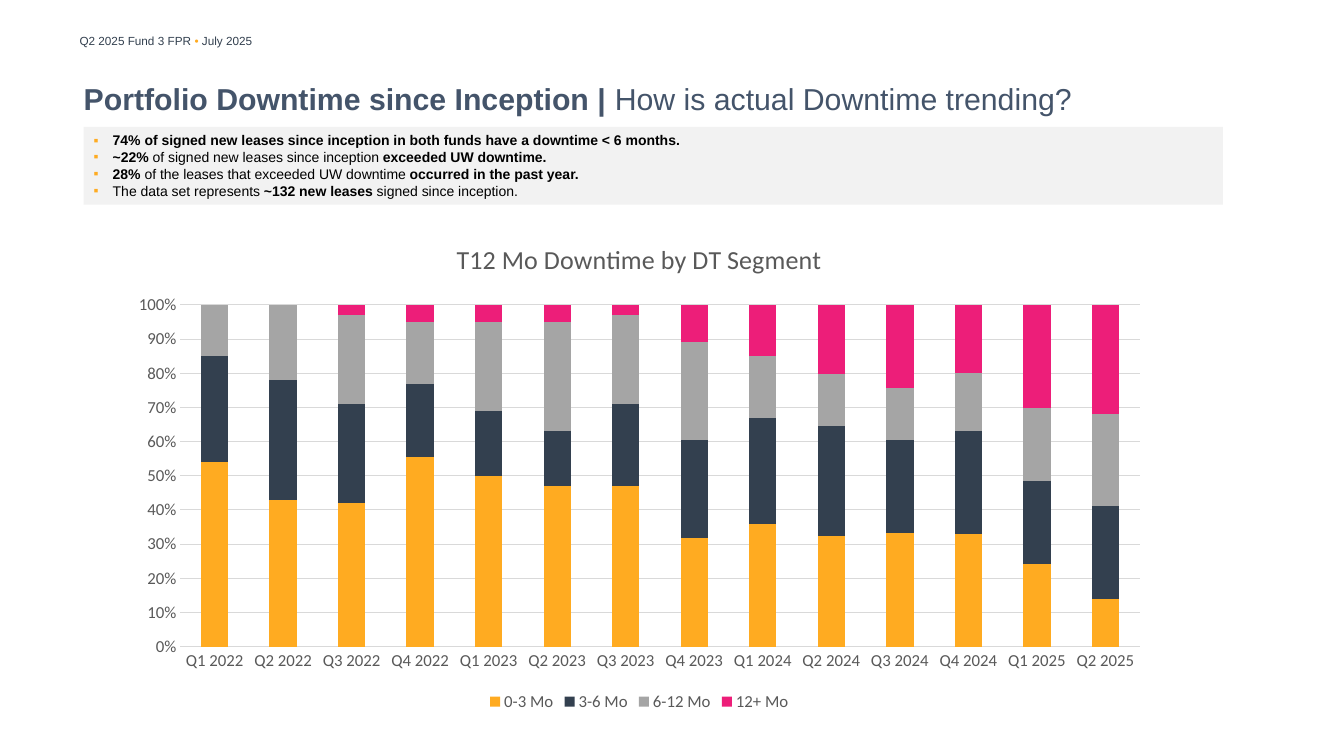
from lxml.etree import SubElement
from pptx import Presentation
from pptx.chart.data import CategoryChartData
from pptx.dml.color import RGBColor
from pptx.enum.chart import XL_CHART_TYPE, XL_LEGEND_POSITION, XL_TICK_MARK
from pptx.enum.shapes import MSO_SHAPE
from pptx.enum.text import MSO_ANCHOR, PP_ALIGN
from pptx.oxml.ns import qn
from pptx.util import Inches, Pt

NAVY, ORANGE, SLATE = "33404F", "FFAB21", "44546A"
GRID, LABEL = "D9D9D9", "595959"

# Regions as left, top, width, height in inches
HEADER_BOX = (0.69, 0.29, 4.51, 0.24)
TITLE_BOX = (0.83, 0.6, 11.02, 0.75)
FINDINGS_BOX = (0.83, 1.26, 11.3, 0.77)
CHART_BOX = (1.17, 2.2, 10.34, 4.9)

# Each finding is a list of (text, bold) runs
FINDINGS = [
    [("74% of signed new leases since inception in both funds have a downtime < 6 months.", True)],
    [("~22% ", True), ("of signed new leases since inception ", False),
     ("exceeded UW downtime.", True)],
    [("28% ", True), ("of the leases that exceeded UW downtime ", False),
     ("occurred in the past year.", True)],
    [("The data set represents ", False), ("~132 new leases ", True),
     ("signed since inception.", False)],
]

QUARTERS = [f"Q{index % 4 + 1} {2022 + index // 4}" for index in range(14)]
SEGMENTS = [
    ("0-3 Mo", ORANGE, (54, 43, 42, 55, 50, 47, 47, 32, 36, 32, 33, 33, 24, 14)),
    ("3-6 Mo", NAVY, (31, 35, 29, 21, 19, 16, 24, 29, 31, 32, 27, 30, 24, 27)),
    ("6-12 Mo", "A5A5A5", (15, 22, 26, 18, 26, 32, 26, 29, 18, 15, 15, 17, 21, 27)),
    ("12+ Mo", "ED1E79", (0, 0, 3, 5, 5, 5, 3, 11, 15, 20, 24, 20, 30, 32)),
]


def color(value):
    return RGBColor.from_string(value)


def place(box):
    return [Inches(length) for length in box]


def style_font(font, name, size, value, bold=False):
    font.name, font.size, font.bold = name, Pt(size), bold
    font.color.rgb = color(value)


def add_run(paragraph, text, size, value, bold=False):
    run = paragraph.add_run()
    run.text = text
    style_font(run.font, "Arial", size, value, bold)


def add_bullet(paragraph):
    properties = paragraph._p.get_or_add_pPr()
    properties.set("marL", str(Inches(0.19)))
    properties.set("indent", str(-Inches(0.19)))
    bullet_color = SubElement(properties, qn("a:buClr"))
    SubElement(bullet_color, qn("a:srgbClr")).set("val", "FEAB21")
    SubElement(properties, qn("a:buFont")).set("typeface", "Arial")
    SubElement(properties, qn("a:buChar")).set("char", "▪")


def add_header(slide, box):
    text_frame = slide.shapes.add_textbox(*place(box)).text_frame
    text_frame.word_wrap = True
    paragraph = text_frame.paragraphs[0]
    add_run(paragraph, "Q2 2025 Fund 3 FPR ", 8.4, NAVY)
    add_run(paragraph, "• ", 8.4, ORANGE)
    add_run(paragraph, "July 2025", 8.4, NAVY)


def add_title(slide, box):
    text_frame = slide.shapes.add_textbox(*place(box)).text_frame
    text_frame.word_wrap = True
    text_frame.vertical_anchor = MSO_ANCHOR.MIDDLE
    text_frame.margin_left = text_frame.margin_right = 0
    text_frame.margin_top = text_frame.margin_bottom = 0
    paragraph = text_frame.paragraphs[0]
    add_run(paragraph, "Portfolio Downtime since Inception | ", 21.6, SLATE, True)
    add_run(paragraph, "How is actual Downtime trending?", 21.6, SLATE)


def add_findings(slide, box):
    panel = slide.shapes.add_shape(MSO_SHAPE.RECTANGLE, *place(box))
    panel.shadow.inherit = False
    panel.fill.solid()
    panel.fill.fore_color.rgb = color("F2F2F2")
    panel.line.fill.background()
    text_frame = panel.text_frame
    text_frame.word_wrap = True
    text_frame.vertical_anchor = MSO_ANCHOR.TOP
    for index, finding in enumerate(FINDINGS):
        paragraph = text_frame.add_paragraph() if index else text_frame.paragraphs[0]
        paragraph.alignment = PP_ALIGN.LEFT
        add_bullet(paragraph)
        for text, bold in finding:
            add_run(paragraph, text, 10, "000000", bold)


def style_axis(axis):
    axis.major_tick_mark = axis.minor_tick_mark = XL_TICK_MARK.NONE
    style_font(axis.tick_labels.font, "Calibri", 12, LABEL)


def style_line(line):
    line.color.rgb = color(GRID)
    line.width = Pt(0.75)


def add_downtime_chart(slide, box):
    chart_data = CategoryChartData(number_format="0")
    chart_data.categories = QUARTERS
    for name, _, values in SEGMENTS:
        chart_data.add_series(name, values)
    chart = slide.shapes.add_chart(
        XL_CHART_TYPE.COLUMN_STACKED_100, *place(box), chart_data).chart
    style_font(chart.font, "Calibri", 10, "000000")

    # Title and legend
    chart.has_title = True
    chart.chart_title.include_in_layout = False
    paragraph = chart.chart_title.text_frame.paragraphs[0]
    paragraph.text = "T12 Mo Downtime by DT Segment"
    style_font(paragraph.runs[0].font, "Calibri", 18.6, LABEL)
    chart.has_legend = True
    chart.legend.position = XL_LEGEND_POSITION.BOTTOM
    chart.legend.include_in_layout = False
    style_font(chart.legend.font, "Calibri", 12, LABEL)

    # Axes
    style_axis(chart.category_axis)
    style_line(chart.category_axis.format.line)
    value_axis = chart.value_axis
    style_axis(value_axis)
    value_axis.format.line.fill.background()
    value_axis.has_major_gridlines = True
    style_line(value_axis.major_gridlines.format.line)
    value_axis.minimum_scale, value_axis.maximum_scale = 0, 1
    value_axis.major_unit = 0.1
    value_axis.tick_labels.number_format = "0%"
    value_axis.tick_labels.number_format_is_linked = False

    # Columns
    plot = chart.plots[0]
    plot.gap_width, plot.overlap = 150, 100
    plot.vary_by_categories = False
    for series, (_, fill, _) in zip(plot.series, SEGMENTS):
        series.format.fill.solid()
        series.format.fill.fore_color.rgb = color(fill)


def main():
    presentation = Presentation()
    presentation.slide_width = Inches(13.33)
    presentation.slide_height = Inches(7.5)
    slide = presentation.slides.add_slide(presentation.slide_layouts[6])
    add_header(slide, HEADER_BOX)
    add_title(slide, TITLE_BOX)
    add_downtime_chart(slide, CHART_BOX)
    add_findings(slide, FINDINGS_BOX)
    presentation.save("out.pptx")


if __name__ == "__main__":
    main()
